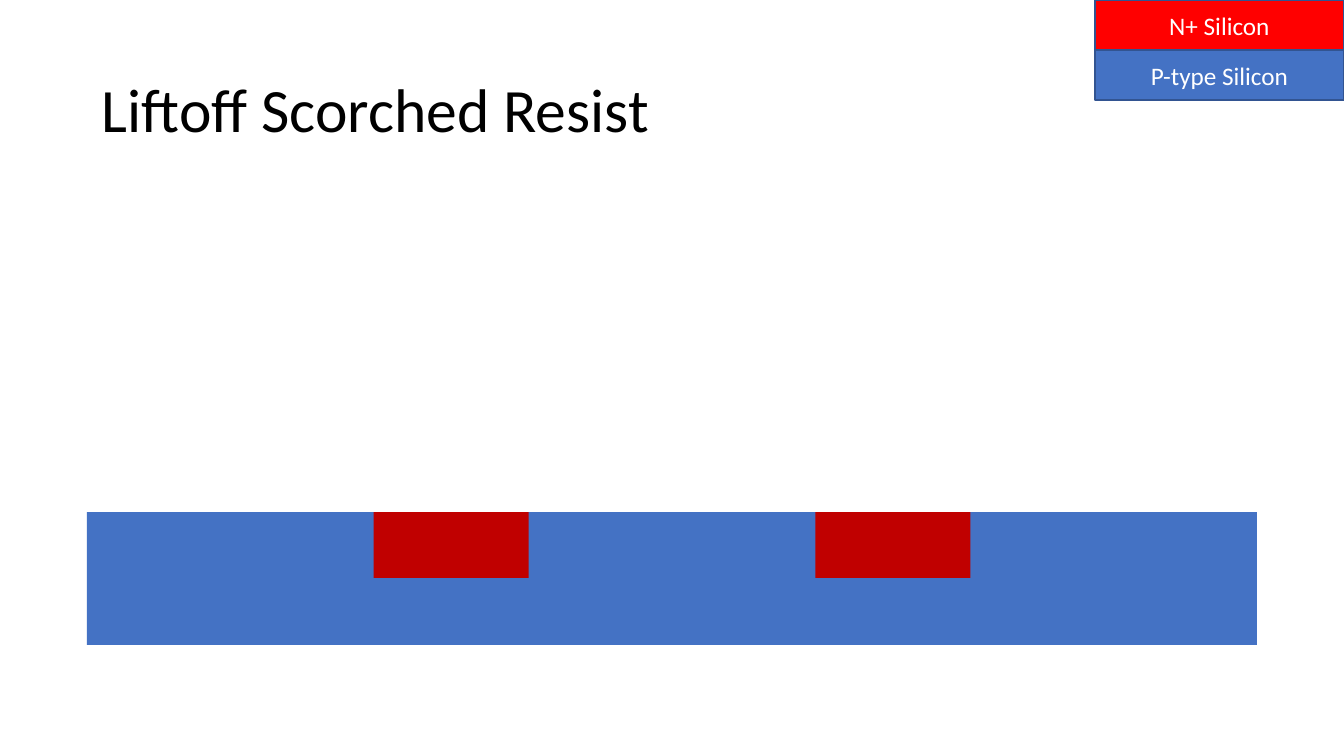
"""Build the "Liftoff Scorched Resist" process slide."""
from dataclasses import dataclass

from pptx import Presentation
from pptx.dml.color import RGBColor
from pptx.enum.shapes import MSO_SHAPE as Preset
from pptx.enum.text import MSO_ANCHOR as Anchor, PP_ALIGN as Align
from pptx.util import Pt

TITLE = "Liftoff Scorched Resist"
LEGEND = [("N+ Silicon", "n_plus"), ("P-type Silicon", "p_type")]
WELL_COUNT = 2

SLIDE_W, SLIDE_H = 1344, 756
EMU_PER_PX = 12192000 / SLIDE_W
TITLE_BOX = (92, 40, 1160, 146)
WAFER_BOX = (87, 512, 1170, 133)
WELL_W, WELL_H = 155, 66
LEGEND_W, LEGEND_ROW_H = 249, 50


@dataclass(frozen=True)
class Theme:
    """Colours, font and type sizes."""
    p_type: str = "4472C4"
    n_plus: str = "FF0000"
    well: str = "C00000"
    outline: str = "325491"
    title: str = "000000"
    label: str = "FFFFFF"
    font: str = "Calibri"
    title_size: int = 44
    label_size: int = 18
    outline_width: int = 1


THEME = Theme()


def emu(box):
    """Turn px lengths into EMU."""
    return [round(length * EMU_PER_PX) for length in box]


def write(frame, text, size, color, align):
    """Write one vertically centred line of text."""
    frame.word_wrap = True
    frame.vertical_anchor = Anchor.MIDDLE
    line = frame.paragraphs[0]
    line.alignment = align
    run = line.add_run()
    run.text = text
    run.font.name = THEME.font
    run.font.size = Pt(size)
    run.font.color.rgb = RGBColor.from_string(color)
    return line


def add_block(slide, box, color):
    """Add a flat rectangle without outline."""
    block = slide.shapes.add_shape(Preset.RECTANGLE, *emu(box))
    block.shadow.inherit = False
    block.fill.solid()
    block.fill.fore_color.rgb = RGBColor.from_string(color)
    block.line.fill.background()
    return block


def add_title(slide):
    """Add the slide title."""
    heading = slide.shapes.add_textbox(*emu(TITLE_BOX))
    line = write(heading.text_frame, TITLE, THEME.title_size, THEME.title, Align.LEFT)
    line.line_spacing = 0.9


def add_wafer(slide):
    """Add the wafer with its evenly spaced wells."""
    add_block(slide, WAFER_BOX, THEME.p_type)
    left, top, width, _ = WAFER_BOX
    gap = (width - WELL_COUNT * WELL_W) / (WELL_COUNT + 1)
    for index in range(WELL_COUNT):
        well_left = left + gap + index * (WELL_W + gap)
        add_block(slide, (well_left, top, WELL_W, WELL_H), THEME.well)


def add_legend(slide):
    """Stack the legend in the top right corner, upper rows in front."""
    for row, (material, color) in reversed(list(enumerate(LEGEND))):
        box = (SLIDE_W - LEGEND_W, row * LEGEND_ROW_H, LEGEND_W, LEGEND_ROW_H)
        key = add_block(slide, box, getattr(THEME, color))
        key.line.color.rgb = RGBColor.from_string(THEME.outline)
        key.line.width = Pt(THEME.outline_width)
        write(key.text_frame, material, THEME.label_size, THEME.label, Align.CENTER)


def main():
    """Build and save the deck."""
    deck = Presentation()
    deck.slide_width, deck.slide_height = emu((SLIDE_W, SLIDE_H))
    slide = deck.slides.add_slide(deck.slide_layouts[6])
    add_title(slide)
    add_wafer(slide)
    add_legend(slide)
    deck.save("out.pptx")


if __name__ == "__main__":
    main()
